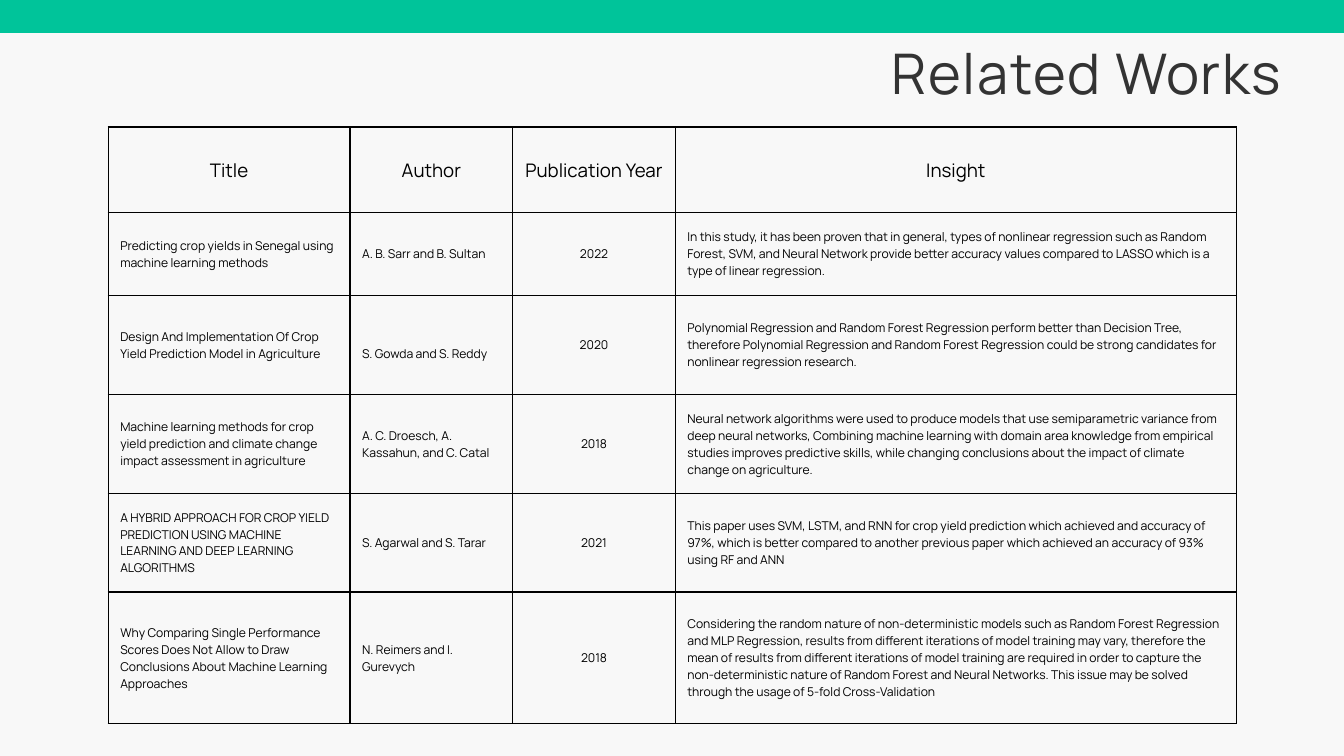
"""Builds the "Related Works" slide: a top bar, a heading and a literature table."""
from dataclasses import dataclass

import lxml.etree
import pptx
import pptx.dml.color
import pptx.enum.shapes
import pptx.enum.text
import pptx.oxml.ns
import pptx.util

# The slide is a grid of square modules, one inch each
GRID_COLUMNS, GRID_ROWS = 20, 11.25
ALIGN = pptx.enum.text.PP_ALIGN


@dataclass(frozen=True)
class Theme:
    font: str = "Manrope"
    background: str = "F8F8F8"
    accent: str = "00C49A"
    heading_ink: str = "333333"
    ink: str = "000000"
    heading_size: float = 60
    header_size: float = 20
    body_size: float = 13
    heading_leading: float = 72
    header_leading: float = 28
    body_leading: float = 18.2
    heading_tracking: float = 1.9
    rule_width: float = 1.5
    cell_margin: float = 0.18


@dataclass(frozen=True)
class Area:
    column: float
    row: float
    columns: float
    rows: float

    def box(self) -> tuple:
        return tuple(grid(n) for n in (self.column, self.row, self.columns, self.rows))


@dataclass(frozen=True)
class Work:
    title: str
    author: str
    year: str
    insight: str
    rows: float
    author_drop: float = 0  # lines of extra space above the author


THEME = Theme()
BAR = Area(0, 0, GRID_COLUMNS, 0.49)
HEADING = Area(13.26, 0.58, 6.74, 0.98)
HEADER_ROWS = 1.27
COLUMNS = {"Title": 3.6, "Author": 2.42, "Publication Year": 2.42, "Insight": 8.35}
BODY_ALIGN = (ALIGN.LEFT, ALIGN.LEFT, ALIGN.CENTER, ALIGN.LEFT)

WORKS = (
    Work("Predicting crop yields in Senegal using machine learning methods",
         "A. B. Sarr and B. Sultan", "2022",
         "In this study, it has been proven that in general, types of nonlinear regression "
         "such as Random Forest, SVM, and Neural Network provide better accuracy values "
         "compared to LASSO which is a type of linear regression.", 1.24),
    Work("Design And Implementation Of Crop Yield Prediction Model in Agriculture",
         "S. Gowda and S. Reddy", "2020",
         "Polynomial Regression and Random Forest Regression perform better than Decision "
         "Tree, therefore Polynomial Regression and Random Forest Regression could be "
         "strong candidates for nonlinear regression research.", 1.47, author_drop=1),
    Work("Machine learning methods for crop yield prediction and climate change impact "
         "assessment in agriculture",
         "A. C. Droesch, A. Kassahun, and C. Catal", "2018",
         "Neural network algorithms were used to produce models that use semiparametric "
         "variance from deep neural networks, Combining machine learning with domain area "
         "knowledge from empirical studies improves predictive skills, while changing "
         "conclusions about the impact of climate change on agriculture.", 1.47),
    Work("A HYBRID APPROACH FOR CROP YIELD PREDICTION USING MACHINE LEARNING AND DEEP "
         "LEARNING ALGORITHMS",
         "S. Agarwal and S. Tarar", "2021",
         "This paper uses SVM, LSTM, and RNN for crop yield prediction which achieved and "
         "accuracy of 97%, which is better compared to another previous paper which "
         "achieved an accuracy of 93% using RF and ANN", 1.47),
    Work("Why Comparing Single Performance Scores Does Not Allow to Draw Conclusions "
         "About Machine Learning Approaches",
         "N. Reimers and I. Gurevych", "2018",
         "Considering the random nature of non-deterministic models such as Random Forest "
         "Regression and MLP Regression, results from different iterations of model "
         "training may vary, therefore the mean of results from different iterations of "
         "model training are required in order to capture the non-deterministic nature of "
         "Random Forest and Neural Networks. This issue may be solved through the usage of "
         "5-fold Cross-Validation", 1.96),
)
TABLE = Area(1.61, 1.89, sum(COLUMNS.values()), HEADER_ROWS + sum(w.rows for w in WORKS))


def grid(modules: float) -> pptx.util.Length:
    return pptx.util.Inches(modules)


def color(value: str) -> pptx.dml.color.RGBColor:
    return pptx.dml.color.RGBColor.from_string(value)


def apply(target, formats: dict) -> None:
    for name, value in formats.items():
        setattr(target, name, value)


def write(frame, text: str, size: float, leading: float, ink: str, align=ALIGN.LEFT):
    """Fill a text frame with one paragraph and return its run."""
    paragraph = frame.paragraphs[0]
    apply(paragraph, {"alignment": align, "line_spacing": pptx.util.Pt(leading)})
    run = paragraph.add_run()
    run.text = text
    apply(run.font, {"size": pptx.util.Pt(size), "name": THEME.font})
    run.font.color.rgb = color(ink)
    return run


def rule_cell(cell) -> None:
    """Draw the four borders of a cell; they precede the fill in the XML."""
    properties = cell._tc.get_or_add_tcPr()
    qn = pptx.oxml.ns.qn
    for position, side in enumerate(("lnL", "lnR", "lnT", "lnB")):
        line = lxml.etree.Element(qn(f"a:{side}"), w=str(pptx.util.Pt(THEME.rule_width)))
        fill = lxml.etree.SubElement(line, qn("a:solidFill"))
        lxml.etree.SubElement(fill, qn("a:srgbClr"), val=THEME.ink)
        properties.insert(position, line)


def draw_cell(cell, text: str, size: float, leading: float, align, drop: float = 0) -> None:
    margin = grid(THEME.cell_margin)
    apply(cell, {
        "margin_left": margin, "margin_right": margin, "margin_bottom": margin,
        "margin_top": margin + pptx.util.Pt(drop * leading),
        "vertical_anchor": pptx.enum.text.MSO_ANCHOR.MIDDLE,
    })
    cell.fill.background()
    rule_cell(cell)
    write(cell.text_frame, text, size, leading, THEME.ink, align)


def draw_bar(slide) -> None:
    bar = slide.shapes.add_shape(pptx.enum.shapes.MSO_SHAPE.RECTANGLE, *BAR.box())
    bar.shadow.inherit = False
    bar.fill.solid()
    bar.fill.fore_color.rgb = color(THEME.accent)
    bar.line.fill.background()


def draw_table(slide) -> None:
    table = slide.shapes.add_table(len(WORKS) + 1, len(COLUMNS), *TABLE.box()).table
    apply(table, {"first_row": False, "horz_banding": False})
    for column, width in zip(table.columns, COLUMNS.values()):
        column.width = grid(width)
    for row, height in zip(table.rows, (HEADER_ROWS, *(w.rows for w in WORKS))):
        row.height = grid(height)

    for index, label in enumerate(COLUMNS):
        draw_cell(table.cell(0, index), label, THEME.header_size, THEME.header_leading,
                  ALIGN.CENTER)
    for row, work in enumerate(WORKS, start=1):
        entries = (work.title, work.author, work.year, work.insight)
        drops = (0, work.author_drop, 0, 0)
        for index, (entry, align, drop) in enumerate(zip(entries, BODY_ALIGN, drops)):
            draw_cell(table.cell(row, index), entry, THEME.body_size, THEME.body_leading,
                      align, drop)


def draw_heading(slide) -> None:
    frame = slide.shapes.add_textbox(*HEADING.box()).text_frame
    apply(frame, {"word_wrap": True, "margin_left": 0, "margin_right": 0,
                  "margin_top": 0, "margin_bottom": 0})
    run = write(frame, "Related Works", THEME.heading_size, THEME.heading_leading,
                THEME.heading_ink)
    run.font._element.set("spc", str(round(THEME.heading_tracking * 100)))


def main() -> None:
    deck = pptx.Presentation()
    apply(deck, {"slide_width": grid(GRID_COLUMNS), "slide_height": grid(GRID_ROWS)})
    slide = deck.slides.add_slide(deck.slide_layouts[6])
    slide.background.fill.solid()
    slide.background.fill.fore_color.rgb = color(THEME.background)

    # Parts from back to front
    draw_bar(slide)
    draw_table(slide)
    draw_heading(slide)
    deck.save("out.pptx")


if __name__ == "__main__":
    main()
